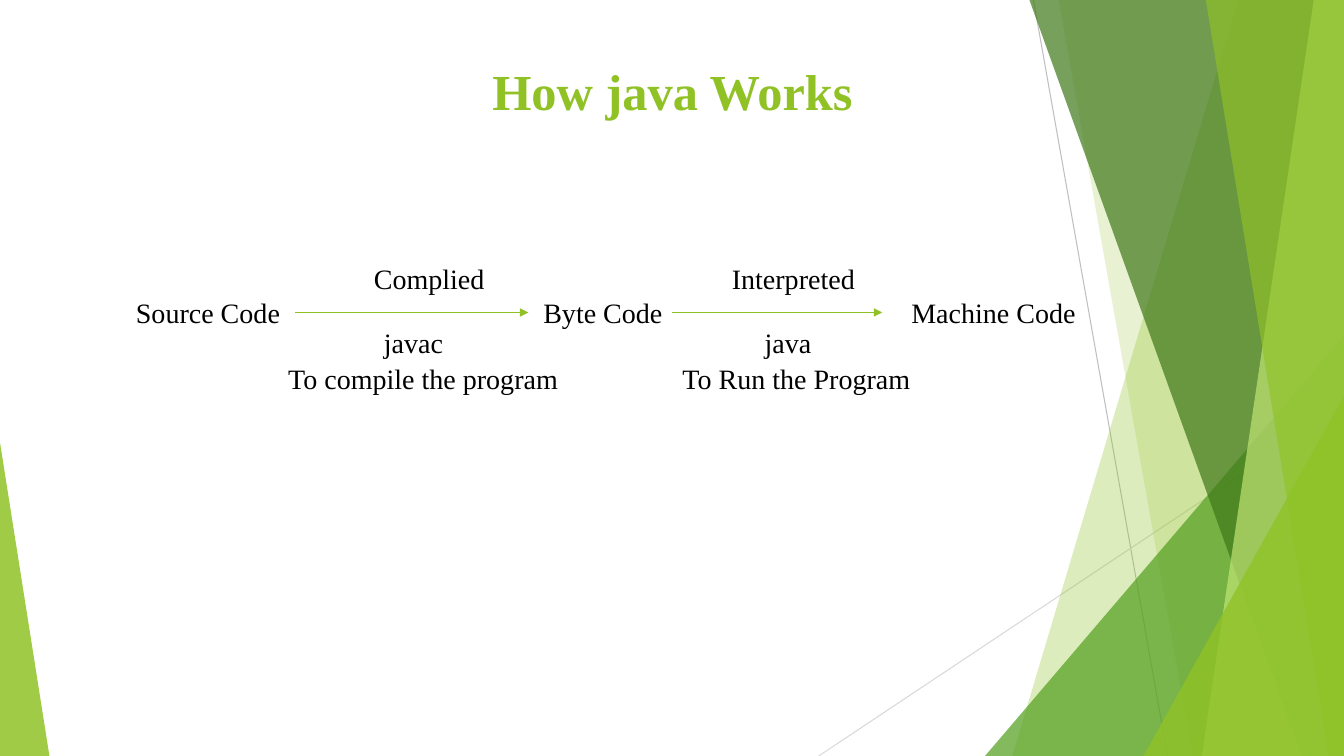
"""Build the slide that shows how Java code is compiled and interpreted."""
from dataclasses import dataclass
from typing import NamedTuple

from pptx import Presentation
from pptx.dml.color import RGBColor
from pptx.enum import shapes, text
from pptx.oxml import ns, xmlchemy
from pptx.util import Inches, Pt


@dataclass(frozen=True)
class Theme:
    font: str = "Times New Roman"
    title_size: int = 36
    body_size: int = 20
    ink: str = "000000"
    lime: str = "90C226"
    green: str = "54A021"
    forest: str = "3F7819"
    pale: str = "C0E474"
    gray: str = "BFBFBF"
    light_gray: str = "D9D9D9"


class Stroke(NamedTuple):
    start: tuple[float, float]
    end: tuple[float, float]
    color: str
    weight: float
    arrow: bool = False


class Panel(NamedTuple):
    top_left: float
    bottom_left: float
    top_right: float
    bottom_right: float
    color: str
    opacity: int


class Corner(NamedTuple):
    left: float
    top: float
    width: float
    apex: float
    color: str
    opacity: int


class Label(NamedTuple):
    words: str
    left: float
    top: float
    width: float
    align: text.PP_ALIGN = text.PP_ALIGN.LEFT


THEME = Theme()
WIDTH, HEIGHT = 13.33, 7.5
LABEL_HEIGHT = 0.44
STAGE_TOP, ARROW_Y = 2.88, 3.1
ACTION_TOP, COMMAND_TOP, PURPOSE_TOP = 2.55, 3.18, 3.54

GUIDES = [
    Stroke((10.25, 0), (11.58, HEIGHT), THEME.gray, 0.75),
    Stroke((WIDTH, 4.03), (8.12, HEIGHT), THEME.light_gray, 0.75),
]
FACETS = [
    Panel(12.28, 10.04, WIDTH, WIDTH, THEME.lime, 30),
    Panel(10.5, 11.83, WIDTH, WIDTH, THEME.lime, 20),
    Corner(9.77, 3.33, 3.56, 1, THEME.green, 72),
    Panel(10.21, 12.91, WIDTH, WIDTH, THEME.forest, 70),
    Panel(13.03, 11.92, WIDTH, WIDTH, THEME.pale, 70),
    Panel(11.96, 13.18, WIDTH, WIDTH, THEME.lime, 65),
    Corner(11.34, 3.93, 1.99, 1, THEME.lime, 80),
    Corner(0, 4.39, 0.49, 0, THEME.lime, 85),
]
STEPS = [
    Stroke((left, ARROW_Y), (right, ARROW_Y), THEME.lime, 1, True)
    for left, right in [(2.93, 5.24), (6.67, 8.75)]
]
LABELS = [
    Label("Source Code", 1.25, STAGE_TOP, 2.23),
    Label("Byte Code", 5.29, STAGE_TOP, 2.23),
    Label("Machine Code", 8.94, STAGE_TOP, 2.23),
    Label("Complied", 3.61, ACTION_TOP, 1.38),
    Label("javac", 3.71, COMMAND_TOP, 1.18),
    Label("To compile the program", 2.76, PURPOSE_TOP, 3.1),
    Label("Interpreted", 7.16, ACTION_TOP, 1.52),
    Label("java", 7.02, COMMAND_TOP, 1.59, text.PP_ALIGN.CENTER),
    Label("To Run the Program", 6.67, PURPOSE_TOP, 2.8),
]


def add_child(parent, tag: str, **attributes: str):
    child = xmlchemy.OxmlElement(tag)
    for key, value in attributes.items():
        child.set(key, value)
    parent.append(child)
    return child


def style_text(paragraph, size: int, color: str, align: text.PP_ALIGN, bold: bool = False) -> None:
    paragraph.alignment = align
    font = paragraph.font
    font.name, font.size, font.bold = THEME.font, Pt(size), bold
    font.color.rgb = RGBColor.from_string(color)


def draw_stroke(slide, stroke: Stroke) -> None:
    ends = [Inches(value) for value in (*stroke.start, *stroke.end)]
    connector = slide.shapes.add_connector(shapes.MSO_CONNECTOR.STRAIGHT, *ends)
    connector.line.color.rgb = RGBColor.from_string(stroke.color)
    connector.line.width = Pt(stroke.weight)
    if stroke.arrow:
        add_child(connector.line._get_or_add_ln(), "a:tailEnd", type="triangle")
    add_child(connector._element.spPr, "a:effectLst")


def draw_facet(slide, facet: Panel | Corner) -> None:
    if isinstance(facet, Panel):
        outline = [(facet.top_left, 0), (facet.top_right, 0),
                   (facet.bottom_right, HEIGHT), (facet.bottom_left, HEIGHT)]
        points = [(Inches(x), Inches(y)) for x, y in outline]
        builder = slide.shapes.build_freeform(*points[0])
        builder.add_line_segments(points[1:], close=True)
        shape = builder.convert_to_shape()
    else:
        shape = slide.shapes.add_shape(
            shapes.MSO_SHAPE.ISOSCELES_TRIANGLE, Inches(facet.left), Inches(facet.top),
            Inches(facet.width), Inches(HEIGHT - facet.top))
        shape.adjustments[0] = facet.apex
    shape.shadow.inherit = False
    shape.line.fill.background()
    shape.fill.solid()
    shape.fill.fore_color.rgb = RGBColor.from_string(facet.color)
    color = shape._element.spPr.find(ns.qn("a:solidFill"))[0]
    add_child(color, "a:alpha", val=str(facet.opacity * 1000))


def draw_label(slide, label: Label) -> None:
    box = slide.shapes.add_textbox(
        Inches(label.left), Inches(label.top), Inches(label.width), Inches(LABEL_HEIGHT))
    frame = box.text_frame
    frame.word_wrap = True
    frame.auto_size = text.MSO_AUTO_SIZE.SHAPE_TO_FIT_TEXT
    frame.text = label.words
    style_text(frame.paragraphs[0], THEME.body_size, THEME.ink, label.align)


def place_title(slide, words: str) -> None:
    title = slide.shapes.title
    title.left, title.top = Inches(0.92), Inches(0.51)
    title.width, title.height = Inches(11.5), Inches(0.78)
    frame = title.text_frame
    frame.text = words
    frame.vertical_anchor = text.MSO_ANCHOR.MIDDLE
    style_text(frame.paragraphs[0], THEME.title_size, THEME.lime, text.PP_ALIGN.CENTER, bold=True)


def main() -> None:
    deck = Presentation()
    deck.slide_width, deck.slide_height = Inches(WIDTH), Inches(HEIGHT)
    slide = deck.slides.add_slide(deck.slide_layouts.get_by_name("Title Only"))
    for guide in GUIDES:
        draw_stroke(slide, guide)
    for facet in FACETS:
        draw_facet(slide, facet)
    place_title(slide, "How java Works")
    for step in STEPS:
        draw_stroke(slide, step)
    for label in LABELS:
        draw_label(slide, label)
    deck.save("out.pptx")


main()
